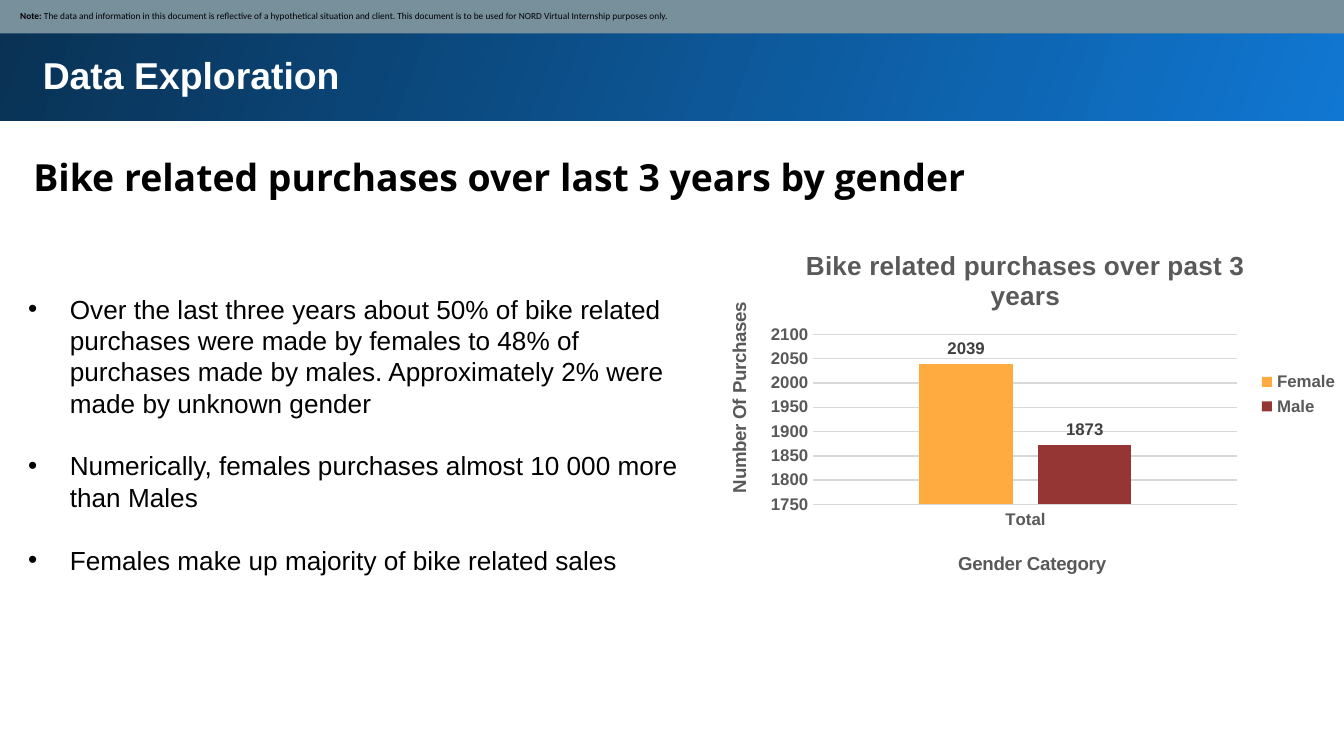
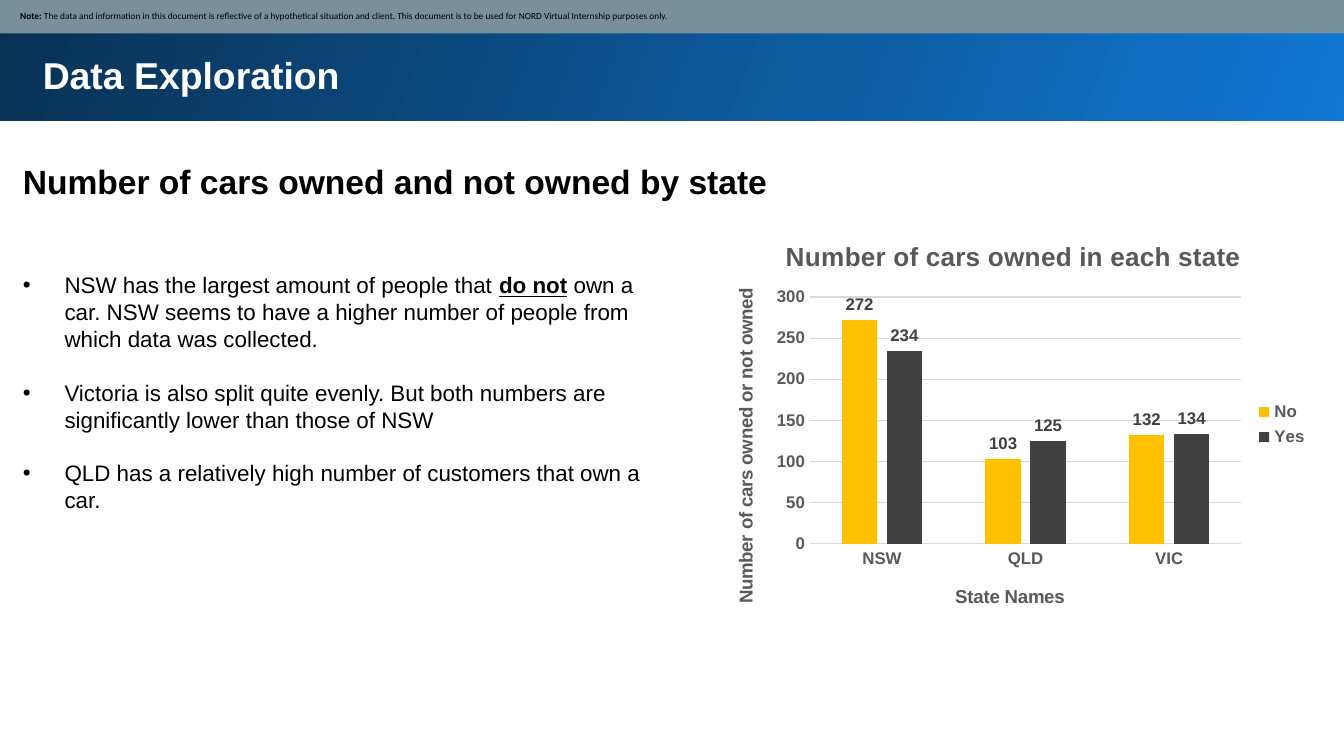
from dataclasses import dataclass

from lxml import etree
from pptx import Presentation
from pptx.chart.data import CategoryChartData
from pptx.dml.color import RGBColor
from pptx.enum import chart as ch, shapes, text
from pptx.oxml import parse_xml
from pptx.oxml.ns import nsdecls, qn
from pptx.util import Inches, Pt


@dataclass(frozen=True)
class Theme:
    font: str = "Arial"
    heading_font: str = "Open Sans"
    note_font: str = "Calibri"
    ink: str = "000000"
    white: str = "FFFFFF"
    note_band: str = "78909C"
    band_start: str = "1077D2"
    band_end: str = "093153"
    chart_text: str = "595959"
    label: str = "404040"
    grid: str = "D9D9D9"
    female: str = "FFAB40"
    male: str = "963634"
    no_car: str = "FFC000"
    has_car: str = "404040"
    title_size: int = 20
    subtitle_size: int = 18
    chart_title_size: int = 14
    axis_title_size: int = 10
    tick_size: int = 9
    note_size: int = 5
    leading: float = 1.2


T = Theme()
NOTE = ("The data and information in this document is reflective of a hypothetical "
        "situation and client. This document is to be used for NORD Virtual "
        "Internship purposes only.")


def rgb(value):
    return RGBColor.from_string(value)


def style_font(font, size, color=T.ink, name=T.font, bold=False, underline=False):
    font.size = Pt(size)
    font.name = name
    font.bold = bold
    font.underline = underline
    font.color.rgb = rgb(color)


def write(p, content, **fmt):
    """Append a formatted run to a paragraph."""
    r = p.add_run()
    r.text = content
    style_font(r.font, **fmt)


def add_band(slide, left, top, width, height):
    sp = slide.shapes.add_shape(shapes.MSO_SHAPE.RECTANGLE, Inches(left), Inches(top),
                                Inches(width), Inches(height))
    sp.shadow.inherit = False
    sp.line.fill.background()
    return sp


def add_text_box(slide, left, top, width, height, inset=0.05):
    tf = slide.shapes.add_textbox(Inches(left), Inches(top), Inches(width),
                                  Inches(height)).text_frame
    tf.word_wrap = True
    tf.auto_size = text.MSO_AUTO_SIZE.SHAPE_TO_FIT_TEXT
    tf.margin_left = tf.margin_right = Inches(inset)
    tf.margin_top = tf.margin_bottom = Inches(inset)
    return tf


def add_title_band(slide):
    fill = add_band(slide, -0.02, -0.02, 10.05, 0.92).fill
    fill.gradient()
    fill.gradient_angle = 160
    for stop, color in zip(fill.gradient_stops, (T.band_start, T.band_end)):
        stop.color.rgb = rgb(color)
    tf = add_text_box(slide, 0.22, 0.29, 9.37, 0.51, inset=0.1)
    write(tf.paragraphs[0], "Data Exploration", size=T.title_size, color=T.white, bold=True)


def add_note_band(slide):
    sp = add_band(slide, -0.01, -0.01, 10.03, 0.26)
    sp.fill.solid()
    sp.fill.fore_color.rgb = rgb(T.note_band)
    tf = sp.text_frame
    tf.word_wrap = True
    tf.vertical_anchor = text.MSO_ANCHOR.MIDDLE
    tf.margin_left = Inches(0.16)
    tf.margin_right = tf.margin_top = tf.margin_bottom = Inches(0.05)
    p = tf.paragraphs[0]
    p.alignment = text.PP_ALIGN.LEFT
    write(p, "Note: ", size=T.note_size, name=T.note_font, bold=True)
    write(p, NOTE, size=T.note_size, name=T.note_font)


def add_heading(slide, content, box, size, inset=0.05, name=T.font, spacing=1.0):
    p = add_text_box(slide, *box, inset=inset).paragraphs[0]
    p.line_spacing = spacing
    write(p, content, size=size, name=name, bold=True)


def add_bullets(slide, items, box, size):
    """Each item is a list of runs; a run is (content, extra format)."""
    tf = add_text_box(slide, *box)
    line = Pt(size * T.leading)
    for i, runs in enumerate(items):
        p = tf.add_paragraph() if i else tf.paragraphs[0]
        p.line_spacing = line
        p.space_before = line if i else Pt(0)
        p_pr = p._p.get_or_add_pPr()
        p_pr.set("marL", str(Inches(0.31)))
        p_pr.set("indent", str(-Inches(0.31)))
        etree.SubElement(p_pr, qn("a:buFont")).set("typeface", T.font)
        etree.SubElement(p_pr, qn("a:buChar")).set("char", "•")
        for content, fmt in runs:
            write(p, content, size=size, **fmt)


def set_layout(element, index, spot, target=""):
    """Place a chart part at (x, y[, w, h]), in fractions of the chart."""
    for old in element.findall(qn("c:layout")):
        element.remove(old)
    sizes = "".join(f'<c:{tag} val="{val}"/>' for tag, val in zip("xywh", spot))
    element.insert(index, parse_xml(
        f'<c:layout {nsdecls("c")}><c:manualLayout>{target}<c:xMode val="edge"/>'
        f'<c:yMode val="edge"/>{sizes}</c:manualLayout></c:layout>'))


def style_axis(axis, title, spot):
    axis.major_tick_mark = axis.minor_tick_mark = ch.XL_TICK_MARK.NONE
    style_font(axis.tick_labels.font, T.tick_size, T.chart_text, bold=True)
    write(axis.axis_title.text_frame.paragraphs[0], title,
          size=T.axis_title_size, color=T.chart_text, bold=True)
    set_layout(axis.axis_title._element, 1, spot)


def style_line(line):
    line.color.rgb = rgb(T.grid)
    line.width = Pt(0.75)


def add_column_chart(slide, box, title, cat_title, val_title, cats, series, scale, gap, spots):
    """Series are (name, values, color); scale is (minimum, maximum, step)."""
    data = CategoryChartData()
    data.categories = cats
    for name, values, _ in series:
        data.add_series(name, values)
    chart = slide.shapes.add_chart(ch.XL_CHART_TYPE.COLUMN_CLUSTERED,
                                   *map(Inches, box), data).chart
    style_font(chart.font, T.axis_title_size)
    chart.has_title = True
    write(chart.chart_title.text_frame.paragraphs[0], title,
          size=T.chart_title_size, color=T.chart_text, bold=True)
    chart.has_legend = True
    chart.legend.position = ch.XL_LEGEND_POSITION.RIGHT
    chart.legend.include_in_layout = False
    style_font(chart.legend.font, T.tick_size, T.chart_text, bold=True)
    if "legend" in spots:
        set_layout(chart.legend._element, 1, spots["legend"])

    style_axis(chart.category_axis, cat_title, spots["cat"])
    style_line(chart.category_axis.format.line)
    axis = chart.value_axis
    style_axis(axis, val_title, spots["val"])
    axis.format.line.fill.background()
    axis.has_major_gridlines = True
    style_line(axis.major_gridlines.format.line)
    axis.minimum_scale, axis.maximum_scale, axis.major_unit = scale

    columns = chart.plots[0]
    columns.vary_by_categories = False
    columns.gap_width = gap
    columns.overlap = -27
    for ser, (_, _, color) in zip(columns.series, series):
        ser.format.fill.solid()
        ser.format.fill.fore_color.rgb = rgb(color)
        labels = ser.data_labels
        labels.show_value = True
        labels.position = ch.XL_LABEL_POSITION.OUTSIDE_END
        style_font(labels.font, T.tick_size, T.label, bold=True)
    set_layout(chart._chartSpace.find(".//" + qn("c:plotArea")), 0, spots["plot"],
               target='<c:layoutTarget val="inner"/>')


def add_slide(prs):
    slide = prs.slides.add_slide(prs.slide_layouts[6])
    add_title_band(slide)
    add_note_band(slide)
    return slide


def gender_slide(prs):
    slide = add_slide(prs)
    add_heading(slide, "Bike related purchases over last 3 years by gender",
                (0.15, 1, 9.37, 0.56), T.title_size, inset=0.1,
                name=T.heading_font, spacing=1.15)
    add_bullets(slide, [
        [("Over the last three years about 50% of bike related purchases were made by "
          "females to 48% of purchases made by males. Approximately 2% were made by "
          "unknown gender", {})],
        [("Numerically, females purchases almost 10 000 more than Males", {})],
        [("Females make up majority of bike related sales", {})],
    ], (0.16, 2.13, 5.08, 2.22), 14)
    add_column_chart(
        slide, (5.24, 1.71, 4.78, 2.69), "Bike related purchases over past 3 years",
        "Gender Category", "Number Of Purchases", ["Total"],
        [("Female", [2039], T.female), ("Male", [1873], T.male)],
        scale=(1750, 2100, 50), gap=227,
        spots={"plot": (0.17, 0.29, 0.66, 0.47), "cat": (0.39, 0.88),
               "val": (0.03, 0.19), "legend": (0.86, 0.38, 0.13, 0.15)})


def cars_slide(prs):
    slide = add_slide(prs)
    add_heading(slide, "Number of cars owned and not owned by state",
                (0.12, 1.15, 6.38, 0.4), T.subtitle_size)
    add_bullets(slide, [
        [("NSW has the largest amount of people that ", {}),
         ("do not", {"bold": True, "underline": True}),
         (" own a car. NSW seems to have a higher number of people from which data "
          "was collected.", {})],
        [("Victoria is also split quite evenly. But both numbers are significantly "
          "lower than those of NSW", {})],
        [("QLD has a relatively high number of customers that own a car.", {})],
    ], (0.12, 1.97, 4.78, 1.92), 12)
    add_column_chart(
        slide, (5.25, 1.63, 4.58, 3.06), "Number of cars owned in each state",
        "State Names", "Number of cars owned or not owned", ["NSW", "QLD", "VIC"],
        [("No", [272, 103, 132], T.no_car), ("Yes", [234, 125, 134], T.has_car)],
        scale=(0, 300, 50), gap=179,
        spots={"plot": (0.17, 0.19, 0.7, 0.6), "cat": (0.4, 0.88), "val": (0.04, 0.16)})


def main():
    prs = Presentation()
    prs.slide_width = Inches(10)
    prs.slide_height = prs.slide_width * 9 // 16
    gender_slide(prs)
    cars_slide(prs)
    prs.save("out.pptx")


if __name__ == "__main__":
    main()
